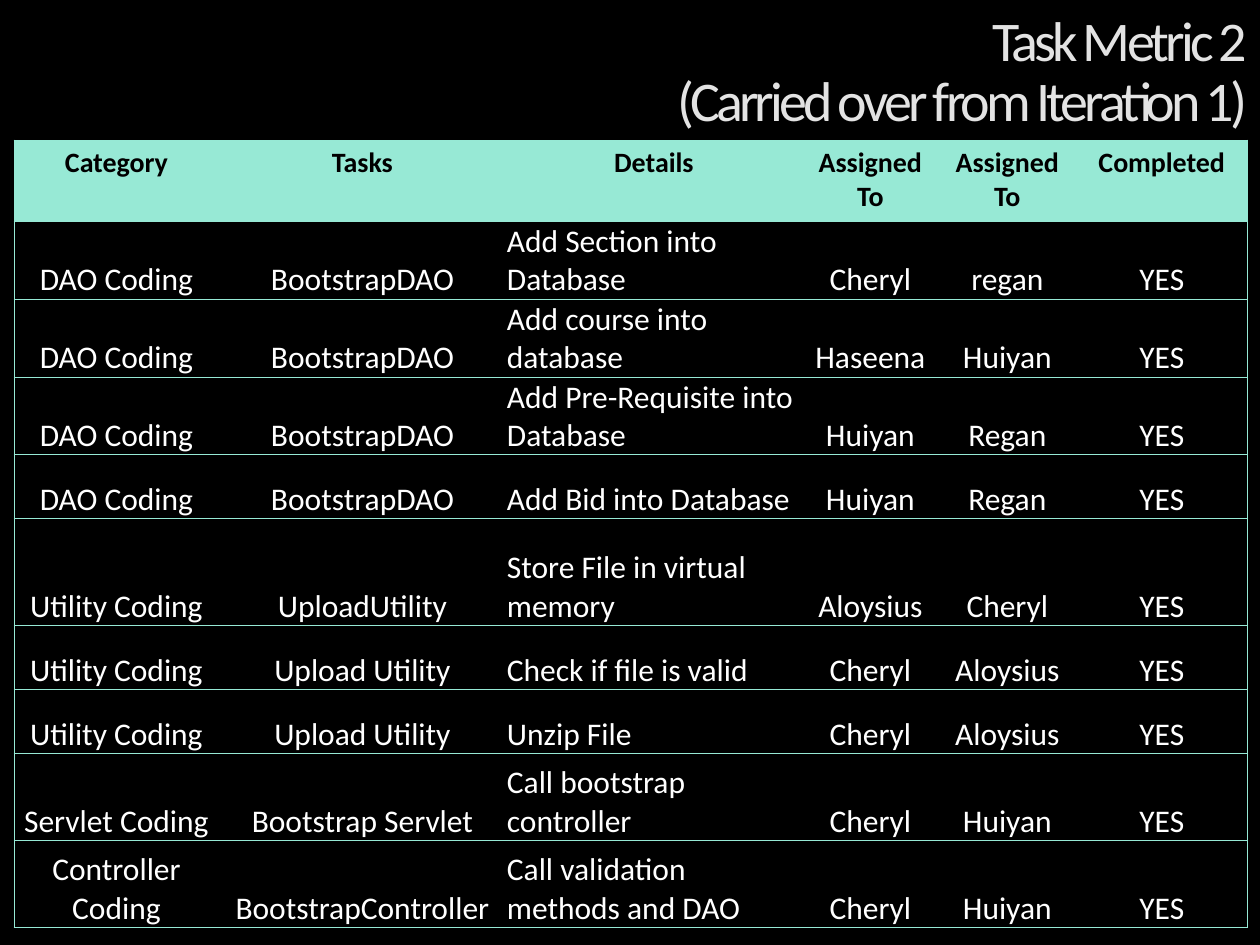
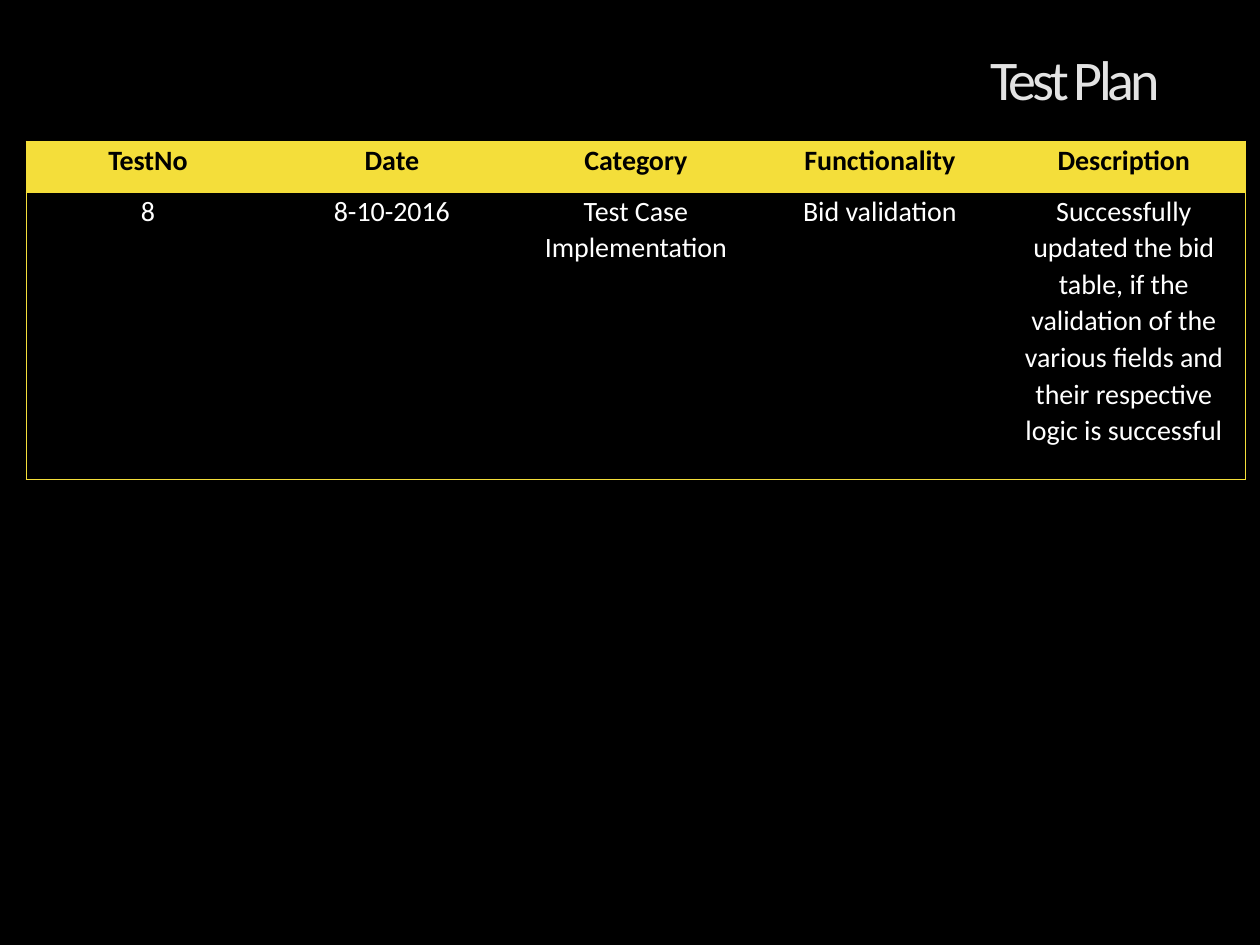
from dataclasses import dataclass

from lxml import etree
from pptx import Presentation
from pptx import util as u
from pptx.dml import color
from pptx.enum import text
from pptx.oxml import ns

EMU_PER_PX = 914400 / 126


@dataclass(frozen=True)
class Theme:
    font: str = "Calibri"
    page: str = "000000"
    header_text: str = "000000"
    body_text: str = "FFFFFF"
    mint: str = "97E9D5"
    yellow: str = "F4DE3A"
    title_stops: tuple = ((1, "969696"), (32, "E3E3E3"), (100, "FFFFFF"))
    title_angle: int = 135
    title_size: int = 32
    title_tracking: int = -220
    small: int = 16
    large: int = 18
    border: float = 0.5


THEME = Theme()

TASK_HEADERS = ["Category", "Tasks", "Details", "Assigned To", "Assigned To", "Completed"]
TASKS = [
    ["DAO Coding", "BootstrapDAO", "Add Section into Database", "Cheryl", "regan"],
    ["DAO Coding", "BootstrapDAO", "Add course into database", "Haseena", "Huiyan"],
    ["DAO Coding", "BootstrapDAO", "Add Pre-Requisite into Database", "Huiyan", "Regan"],
    ["DAO Coding", "BootstrapDAO", "Add Bid into Database", "Huiyan", "Regan"],
    ["Utility Coding", "UploadUtility", "Store File in virtual memory", "Aloysius", "Cheryl"],
    ["Utility Coding", "Upload Utility", "Check if file is valid", "Cheryl", "Aloysius"],
    ["Utility Coding", "Upload Utility", "Unzip File", "Cheryl", "Aloysius"],
    ["Servlet Coding", "Bootstrap Servlet", "Call bootstrap controller", "Cheryl", "Huiyan"],
    ["Controller Coding", "BootstrapController", "Call validation methods and DAO",
     "Cheryl", "Huiyan"],
]
TESTS = [
    ["TestNo", "Date", "Category", "Functionality", "Description"],
    ["8", "8-10-2016", "Test Case Implementation", "Bid validation",
     "Successfully updated the bid table, if the validation of the various fields "
     "and their respective logic is successful"],
]


def px(length):
    return u.Emu(round(length * EMU_PER_PX))


def apply(target, values):
    for name, value in values.items():
        setattr(target, name, value)


def add_child(parent, tag, **attributes):
    return etree.SubElement(parent, ns.qn(tag), attributes)


def paint_gradient(span):
    properties = span._r.get_or_add_rPr()
    properties.set("spc", str(THEME.title_tracking))
    gradient = add_child(properties, "a:gradFill")
    stops = add_child(gradient, "a:gsLst")
    for position, shade in THEME.title_stops:
        stop = add_child(stops, "a:gs", pos=str(position * 1000))
        add_child(stop, "a:srgbClr", val=shade)
    add_child(gradient, "a:lin", ang=str(THEME.title_angle * 60000), scaled="0")
    properties.insert(0, gradient)


def add_page(deck, lines, left, top, width, height):
    page = deck.slides.add_slide(deck.slide_layouts[5])
    title = page.shapes.title
    apply(title, {"left": px(left), "top": px(top), "width": px(width), "height": px(height)})
    apply(title.text_frame, {"word_wrap": True, "auto_size": text.MSO_AUTO_SIZE.NONE,
                             "vertical_anchor": text.MSO_ANCHOR.MIDDLE})
    para = title.text_frame.paragraphs[0]
    apply(para, {"alignment": text.PP_ALIGN.RIGHT, "line_spacing": 0.9})
    for index, line in enumerate(lines):
        if index:
            para.add_line_break()
        span = para.add_run()
        span.text = line
        apply(span.font, {"name": THEME.font, "size": u.Pt(THEME.title_size)})
        paint_gradient(span)
    return page


def set_borders(cell, accent, first, last):
    properties = cell._tc.get_or_add_tcPr()
    sides = {"L": first, "R": last, "T": True, "B": True}
    for index, (side, visible) in enumerate(sides.items()):
        line = add_child(properties, f"a:ln{side}", w=str(u.Pt(THEME.border)))
        if visible:
            add_child(add_child(line, "a:solidFill"), "a:srgbClr", val=accent)
        else:
            add_child(line, "a:noFill")
        properties.insert(index, line)


def write_cell(cell, words, margins, anchor, align, spacing, size, shade, bold):
    sides = ("margin_left", "margin_top", "margin_right", "margin_bottom")
    apply(cell, dict(zip(sides, map(px, margins))))
    cell.vertical_anchor = anchor
    para = cell.text_frame.paragraphs[0]
    apply(para, {"alignment": align, "line_spacing": spacing})
    span = para.add_run()
    span.text = words
    apply(span.font, {"name": THEME.font, "size": u.Pt(size), "bold": bold})
    span.font.color.rgb = color.RGBColor.from_string(shade)


def add_grid(page, left, top, widths, heights, rows, accent, header, body, left_columns=()):
    frame = page.shapes.add_table(len(rows), len(widths), px(left), px(top),
                                  px(sum(widths)), px(sum(heights)))
    table = frame.table
    table.horz_banding = False
    for column, width in zip(table.columns, widths):
        column.width = px(width)
    for row, height in zip(table.rows, heights):
        row.height = px(height)
    for r, row in enumerate(rows):
        for c, words in enumerate(row):
            cell = table.cell(r, c)
            is_header = r == 0
            if is_header:
                cell.fill.solid()
                cell.fill.fore_color.rgb = color.RGBColor.from_string(accent)
            else:
                cell.fill.background()
            set_borders(cell, accent, c == 0, c == len(row) - 1)
            aligned_left = c in left_columns and not is_header
            align = text.PP_ALIGN.LEFT if aligned_left else text.PP_ALIGN.CENTER
            shade = THEME.header_text if is_header else THEME.body_text
            write_cell(cell, words, align=align, shade=shade, bold=is_header,
                       **(header if is_header else body))


def add_task_page(deck):
    page = add_page(deck, ["Task Metric 2", "(Carried over from Iteration 1)"],
                    131, -18, 1129, 183)
    header = {"margins": (13, 6, 13, 6), "anchor": text.MSO_ANCHOR.TOP,
              "spacing": 1.0, "size": THEME.small}
    body = {"margins": (1, 1, 1, 0), "anchor": text.MSO_ANCHOR.BOTTOM,
            "spacing": 1.0, "size": THEME.large}
    rows = [TASK_HEADERS] + [task + ["YES"] for task in TASKS]
    add_grid(page, 14, 140, [205, 287, 296, 137, 137, 172],
             [81, 78, 78, 78, 64, 107, 64, 64, 87, 87], rows,
             THEME.mint, header, body, left_columns=(2,))


def add_test_page(deck):
    page = add_page(deck, ["Test Plan"], 919, 45, 254, 74)
    style = {"margins": (9, 0, 9, 0), "anchor": text.MSO_ANCHOR.TOP,
             "spacing": 1.07, "size": THEME.small}
    add_grid(page, 26, 141, [244] * 5, [51, 287], TESTS, THEME.yellow, style, style)


def main():
    deck = Presentation()
    apply(deck, {"slide_width": px(1260), "slide_height": px(945)})
    backdrop = deck.slide_master.background.fill
    backdrop.solid()
    backdrop.fore_color.rgb = color.RGBColor.from_string(THEME.page)
    add_task_page(deck)
    add_test_page(deck)
    deck.save("out.pptx")


if __name__ == "__main__":
    main()
